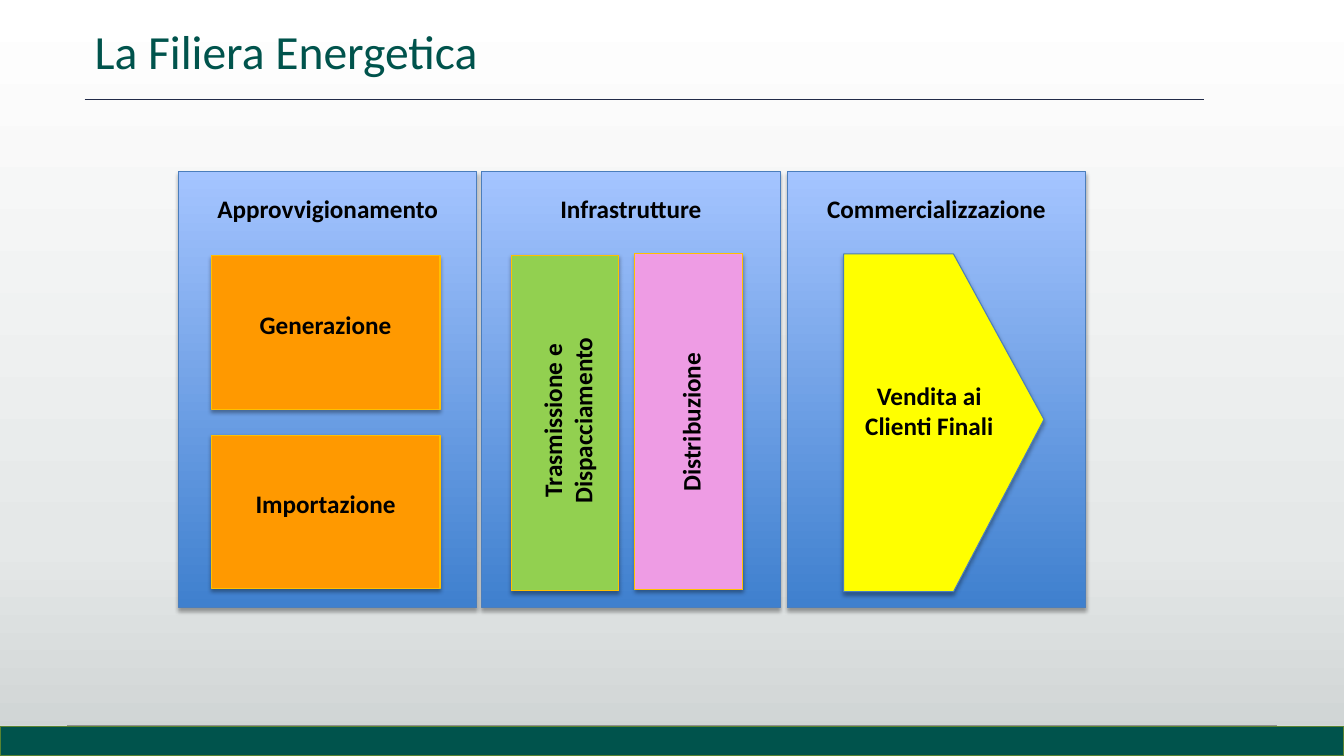
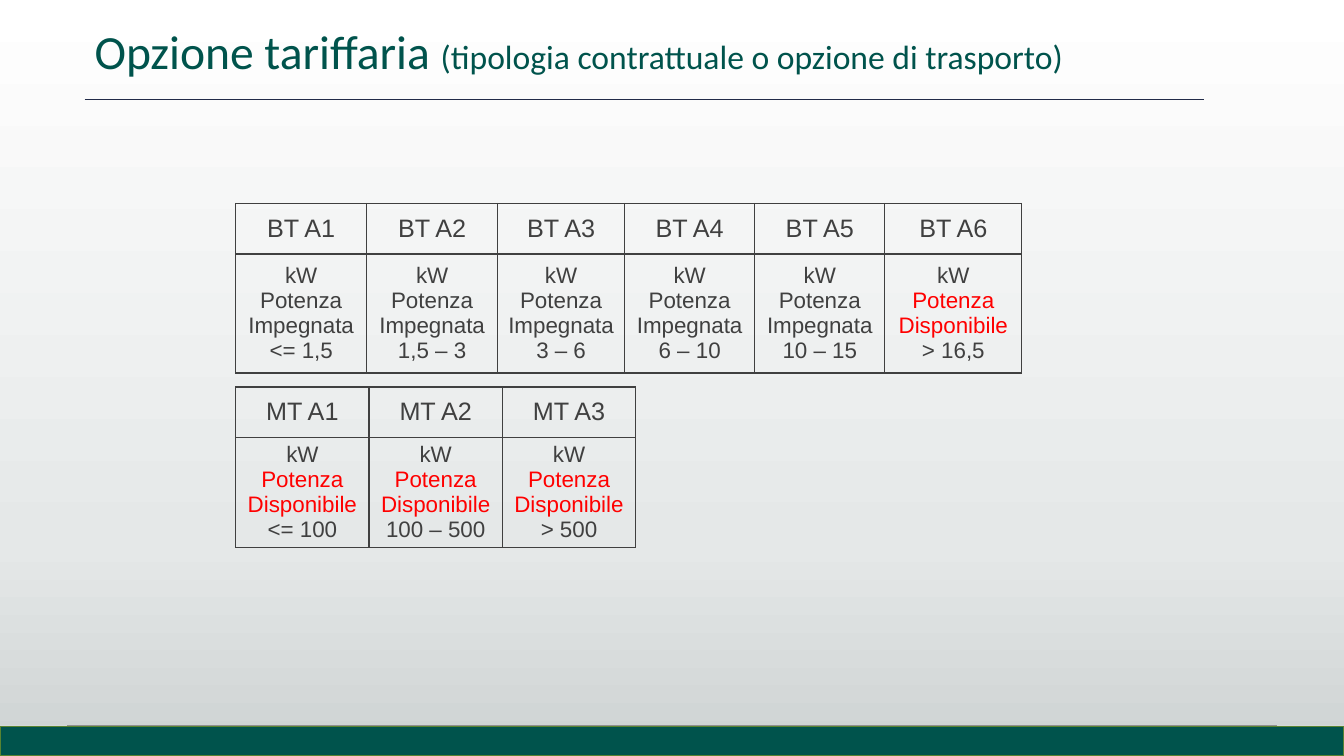
from copy import deepcopy
from dataclasses import dataclass

from lxml import etree
from pptx import Presentation
from pptx.dml.color import RGBColor
from pptx.enum.shapes import MSO_CONNECTOR, MSO_SHAPE
from pptx.enum.text import MSO_ANCHOR, MSO_AUTO_SIZE, PP_ALIGN
from pptx.oxml.ns import qn
from pptx.util import Cm, Pt

RECT = MSO_SHAPE.RECTANGLE
LINE = MSO_CONNECTOR.STRAIGHT
TOP, MIDDLE, BOTTOM = MSO_ANCHOR.TOP, MSO_ANCHOR.MIDDLE, MSO_ANCHOR.BOTTOM
LEFT, CENTER = PP_ALIGN.LEFT, PP_ALIGN.CENTER
FIXED = MSO_AUTO_SIZE.NONE


@dataclass(frozen=True)
class Theme:
    wide: float = 33.87
    high: float = 19.05
    font: str = "Calibri"
    grid_font: str = "Arial"
    title: int = 34
    sub: int = 24
    label: int = 18
    body: int = 16
    green: str = "00534C"
    olive: str = "588331"
    navy: str = "222B48"
    white: str = "FFFFFF"
    black: str = "000000"
    gray: str = "7F7F7F"
    dark: str = "404040"
    red: str = "FF0000"
    blue: str = "4B7EBC"
    orange: str = "FF9900"
    gold: str = "FFC000"
    lime: str = "92D050"
    pink: str = "EE9CE4"
    yellow: str = "FFFF00"
    page: tuple = ((0, "FFFFFF"), (0.72, "E5E8E8"), (1, "CDD2D2"))
    panel: tuple = ((0, "3F80CE"), (1, "A4C4FF"))


T = Theme()


def rgb(code):
    return RGBColor.from_string(code)


def cms(*sizes):
    return [Cm(size) for size in sizes]


def blend(fill, root, stops, angle):
    fill.gradient()
    fill.gradient_angle = angle
    marks = root.find(".//" + qn("a:gsLst"))
    while len(marks) < len(stops):
        marks.append(deepcopy(marks[-1]))
    for mark, (place, color) in zip(fill.gradient_stops, stops):
        mark.position = place
        mark.color.rgb = rgb(color)


def write(frame, paras, size=T.label, color=T.black, font=T.font, bold=False,
          align=CENTER, anchor=TOP, space=None):
    frame.word_wrap = True
    frame.vertical_anchor = anchor
    for i, runs in enumerate(paras):
        para = frame.add_paragraph() if i else frame.paragraphs[0]
        para.alignment = align
        para.line_spacing = space
        for text, own in runs:
            run = para.add_run()
            run.text = text
            run.font.name = font
            run.font.bold = bold
            run.font.size = Pt(own.get("size", size))
            run.font.color.rgb = rgb(own.get("color", color))


def plain(*lines):
    return [[(line, {})] for line in lines]


def paint(shape, fill, edge=None, width=0.75, shadow=False):
    shape.shadow.inherit = False
    if isinstance(fill, str):
        shape.fill.solid()
        shape.fill.fore_color.rgb = rgb(fill)
    else:
        blend(shape.fill, shape.element, fill, 90)
    if edge:
        shape.line.color.rgb = rgb(edge)
        shape.line.width = Pt(width)
    else:
        shape.line.fill.background()
    if shadow:
        effects = shape.element.spPr.find(qn("a:effectLst"))
        outer = etree.SubElement(effects, qn("a:outerShdw"), blurRad=str(Pt(3.1)),
                                 dist=str(Pt(1.8)), dir="5400000", rotWithShape="0")
        tone = etree.SubElement(outer, qn("a:srgbClr"), val=T.black)
        etree.SubElement(tone, qn("a:alpha"), val="35000")


def box(shapes, place, fill, edge=None, **style):
    paint(shapes.add_shape(RECT, *cms(*place)), fill, edge, **style)


def rule(shapes, left, right, y, color):
    line = shapes.add_connector(LINE, *cms(left, y, right, y))
    line.line.color.rgb = rgb(color)
    line.line.width = Pt(0.5)
    etree.SubElement(line.element.spPr, qn("a:effectLst"))


def label(shapes, place, *lines, turn=0):
    item = shapes.add_textbox(*cms(*place))
    item.rotation = turn
    write(item.text_frame, plain(*lines), bold=True)


def start(deck, *runs):
    slide = deck.slides.add_slide(deck.slide_layouts.get_by_name("Title Only"))
    shapes = slide.shapes
    title = shapes.title
    title.left, title.top, title.width, title.height = cms(2.13, 0.33, 26.42, 1.8)
    title.text_frame.auto_size = FIXED
    write(title.text_frame, [runs], size=T.title, color=T.green, align=LEFT,
          anchor=BOTTOM, space=0.9)
    rule(shapes, 2.13, 30.33, 2.51, T.navy)
    rule(shapes, 1.7, 32.18, 18.27, T.gray)
    box(shapes, (0, 18.29, T.wide, 0.13), T.white)
    box(shapes, (0, 18.31, T.wide, 0.74), T.green, T.olive, width=1)
    return shapes


def panel(shapes, left, name):
    group = shapes.add_group_shape().shapes
    box(group, (left, 4.32, 7.52, 11), T.panel, T.blue, shadow=True)
    label(group, (left, 4.75, 7.52, 1.35), name)
    return group


def arrow(shapes, points):
    first, *rest = [cms(*point) for point in points]
    path = shapes.build_freeform(*first)
    path.add_line_segments(rest, close=True)
    paint(path.convert_to_shape(), T.yellow, T.blue, shadow=True)


def chain(deck):
    shapes = start(deck, ("La Filiera Energetica", {}))

    supply = panel(shapes, 4.5, "Approvvigionamento")
    for top, name in ((6.45, "Generazione"), (10.97, "Importazione")):
        box(supply, (5.32, top, 5.77, 3.86), T.orange, T.gold, shadow=True)
        label(supply, (5.32, top + 1.22, 5.77, 1.35), name)

    grid = panel(shapes, 12.14, "Infrastrutture")
    box(grid, (12.88, 6.43, 2.72, 8.46), T.lime, T.gold, shadow=True)
    box(grid, (16, 6.4, 2.72, 8.46), T.pink, T.gold, shadow=True)
    label(grid, (10.13, 9.7, 8.36, 1.8), "Trasmissione e", "Dispacciamento", turn=270)
    label(grid, (13.18, 10.13, 8.46, 1.02), "Distribuzione", turn=270)

    sales = panel(shapes, 19.84, "Commercializzazione")
    arrow(sales, ((21.26, 6.4), (21.26, 14.91), (24.03, 14.91),
                  (26.31, 10.57), (24.03, 6.4)))
    label(sales, (20.78, 9.45, 5.28, 2.36), "Vendita ai", "Clienti Finali")


def border(cell):
    props = cell._tc.get_or_add_tcPr()
    for i, side in enumerate(("lnL", "lnR", "lnT", "lnB")):
        line = etree.Element(qn("a:" + side), w=str(Pt(1)))
        fill = etree.SubElement(line, qn("a:solidFill"))
        etree.SubElement(fill, qn("a:srgbClr"), val=T.dark)
        props.insert(i, line)


def table(shapes, top, cols, rows, cells):
    frame = shapes.add_table(len(rows), len(cols),
                             *cms(5.94, top, sum(cols), sum(rows)))
    grid = frame.table
    grid.first_row = grid.horz_banding = False
    for col, width in zip(grid.columns, cols):
        col.width = Cm(width)
    for row, height, line, size in zip(grid.rows, rows, cells, (T.label, T.body)):
        row.height = Cm(height)
        for cell, paras in zip(row.cells, line):
            cell.fill.background()
            cell.margin_left = cell.margin_right = Cm(0.23)
            cell.margin_top = cell.margin_bottom = Cm(0.13)
            cell.vertical_anchor = MIDDLE
            write(cell.text_frame, paras, size=size, color=T.dark,
                  font=T.grid_font, anchor=MIDDLE)
            border(cell)


def used(span):
    return plain("kW Potenza Impegnata", span)


def free(span):
    return [[("kW ", {}), ("Potenza Disponibile", {"color": T.red})], [(span, {})]]


def heads(kind, count):
    return [plain(f"{kind} A{i}") for i in range(1, count + 1)]


def rates(deck):
    shapes = start(deck, ("Opzione tariffaria ", {}),
                   ("(tipologia contrattuale o opzione di trasporto)", {"size": T.sub}))
    low = [used(span) for span in ("<= 1,5", "1,5 – 3", "3 – 6", "6 – 10", "10 – 15")]
    table(shapes, 5.13, (3.3, 3.3, 3.2, 3.28, 3.28, 3.45), (1.27, 3),
          (heads("BT", 6), low + [free("> 16,5")]))
    mid = [free(span) for span in ("<= 100", "100 – 500", "> 500")]
    table(shapes, 9.75, (3.36,) * 3, (1.27, 2.31), (heads("MT", 3), mid))


def main():
    deck = Presentation()
    deck.slide_width, deck.slide_height = cms(T.wide, T.high)
    master = deck.slide_master
    blend(master.background.fill, master.element, T.page, 270)
    chain(deck)
    rates(deck)
    deck.save("out.pptx")


if __name__ == "__main__":
    main()
